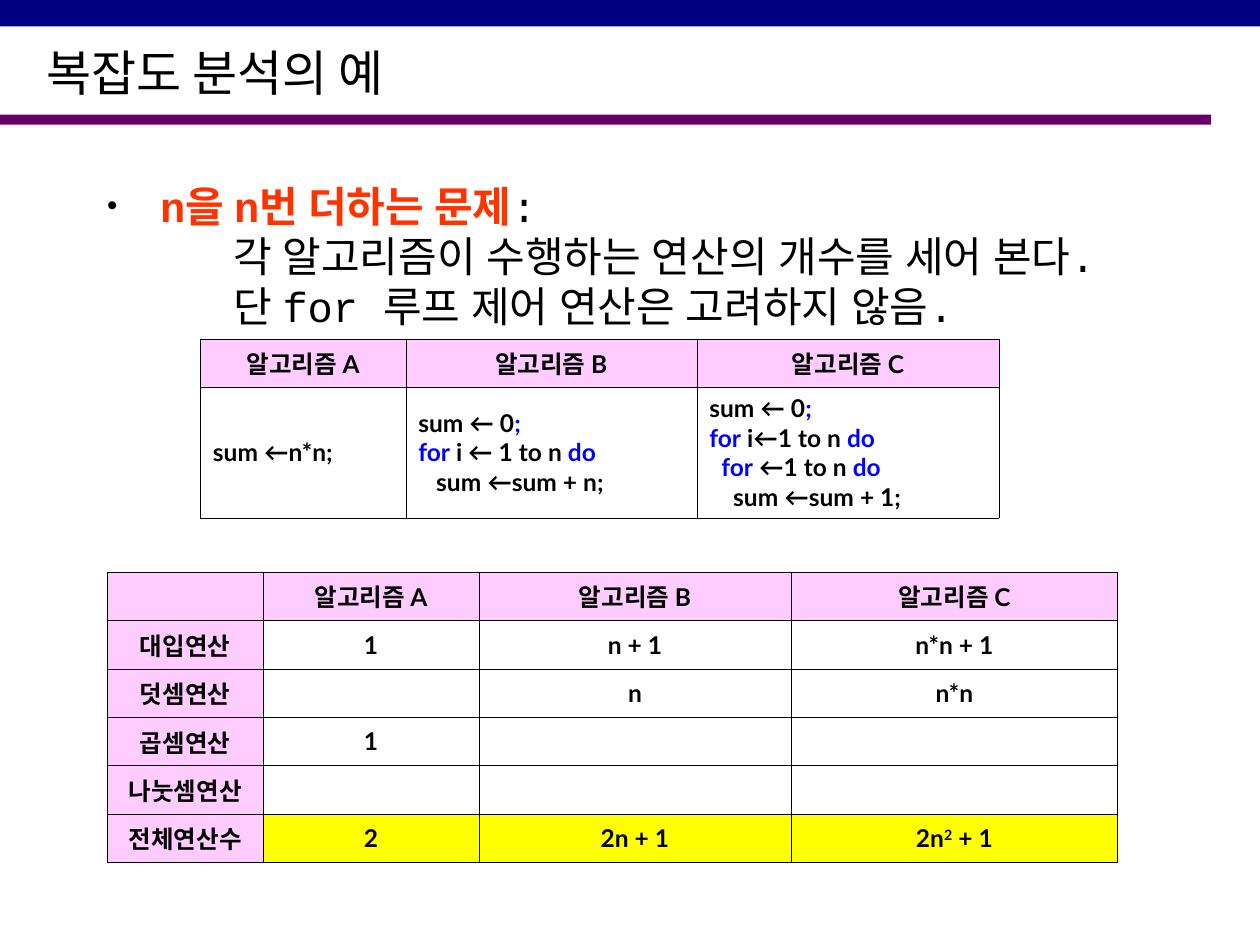
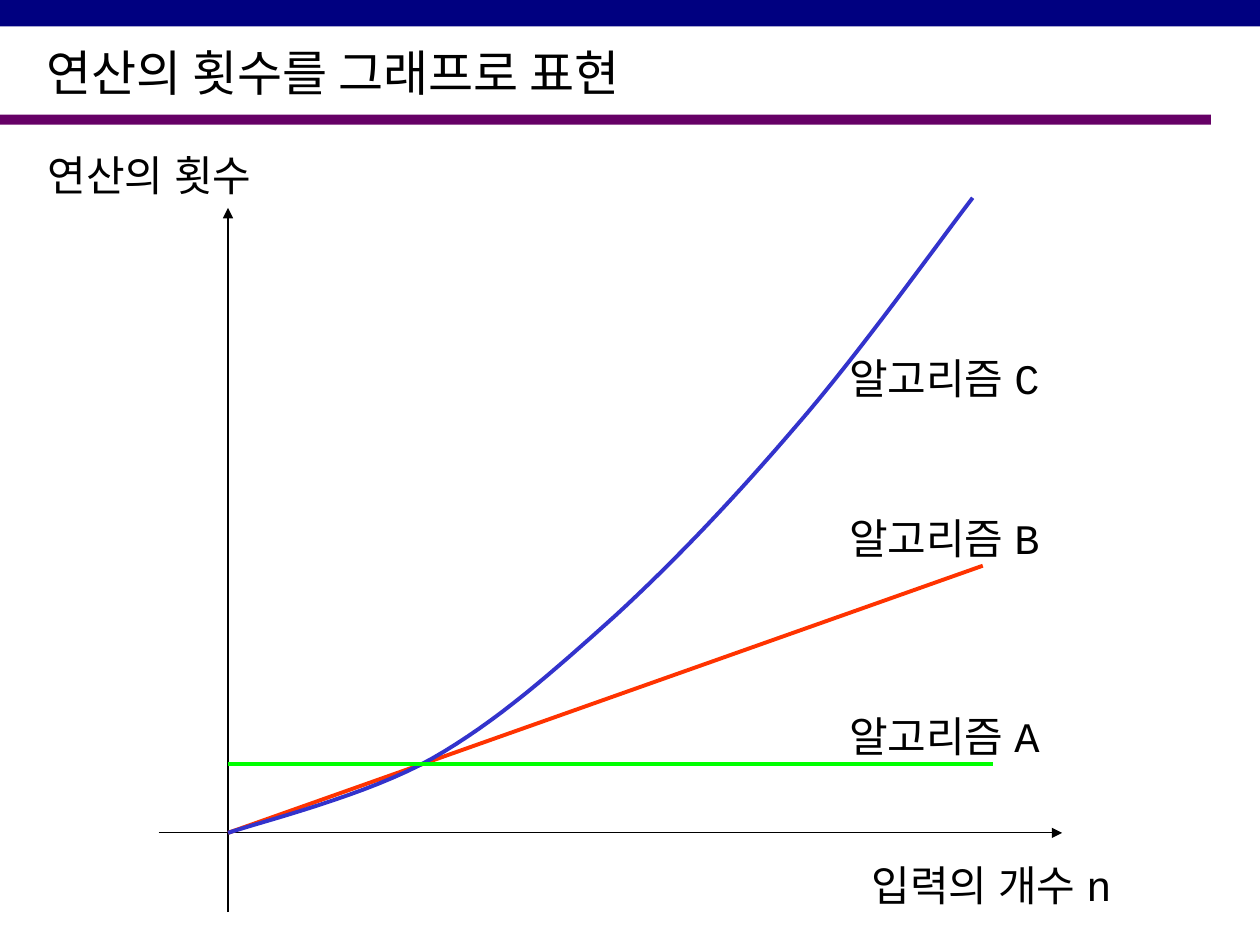
from pptx import Presentation
from pptx.dml.color import RGBColor
from pptx.enum.shapes import MSO_CONNECTOR as Connector, MSO_SHAPE as Shape
from pptx.enum.text import MSO_ANCHOR as Anchor, MSO_AUTO_SIZE as AutoSize, PP_ALIGN as Align
from pptx.oxml import parse_xml
from pptx.oxml.ns import nsdecls, qn
from pptx.util import Inches, Pt
from lxml.etree import SubElement

COLUMNS, ROWS = 10, 7.5
WIDTH, HEIGHT = Inches(COLUMNS), Inches(ROWS)
NAVY, PURPLE, PINK, YELLOW, WHITE = "000080", "660066", "FFCCFF", "FFFF00", "FFFFFF"
BLACK, RED, BLUE, CODE_BLUE, GREEN = "000000", "FF3300", "3333CC", "0000FF", "00FF00"
MONO, SANS, KOREAN = "Courier New", "Lato", "Noto Sans CJK KR"
ALGORITHMS = ["알고리즘 A", "알고리즘 B", "알고리즘 C"]
ORIGIN = (1.81, 6.61)


def col(count):
    """Length of a number of grid columns."""
    return round(WIDTH * count / COLUMNS)


def row(count):
    """Length of a number of grid rows."""
    return round(HEIGHT * count / ROWS)


def area(left, top, width, height):
    """Position and size of a block of the grid."""
    return col(left), row(top), col(width), row(height)


def place(shape, *block):
    """Move a shape to a block of the grid."""
    shape.left, shape.top, shape.width, shape.height = area(*block)


def rgb(color):
    """Colour from a hex string."""
    return RGBColor.from_string(color)


def add_span(para, text, size, latin, asian, color=BLACK, bold=False):
    """Add one formatted run."""
    span = para.add_run()
    span.text = text
    font = span.font
    font.size, font.name, font.bold = Pt(size), latin, bold
    font.color.rgb = rgb(color)
    face = parse_xml(f'<a:ea {nsdecls("a")} typeface="{asian}"/>')
    span.font._element.find(qn("a:latin")).addnext(face)
    return span


def add_bands(master, slide):
    """Move the two coloured bands into the master."""
    tree = master.element.cSld.spTree
    for color, block in ((NAVY, (0, 0, 10, 0.21)), (PURPLE, (0, 0.91, 9.61, 0.08))):
        band = slide.shapes.add_shape(Shape.RECTANGLE, *area(*block))
        band.shadow.inherit = False
        band.fill.solid()
        band.fill.fore_color.rgb = rgb(color)
        band.line.fill.background()
        tree.insert(2, band.element)


def set_title(slide, text):
    """Fill and format the title placeholder."""
    title = slide.shapes.title
    place(title, 0.27, 0.28, 8.98, 0.58)
    frame = title.text_frame
    frame.vertical_anchor, frame.auto_size = Anchor.MIDDLE, AutoSize.NONE
    para = frame.paragraphs[0]
    para.alignment = Align.LEFT
    add_span(para, text, 28, KOREAN, KOREAN)


def set_indent(para, margin, hanging=0, bullet=None):
    """Indent a paragraph, with or without a bullet."""
    props = para._p.get_or_add_pPr()
    props.set("marL", str(col(margin)))
    props.set("indent", str(-col(hanging)))
    if bullet:
        SubElement(SubElement(props, qn("a:buClr")), qn("a:srgbClr"), val=BLACK)
        SubElement(props, qn("a:buSzPct"), val="70000")
        SubElement(props, qn("a:buChar"), char=bullet)
    else:
        SubElement(props, qn("a:buNone"))
    para.space_before = Pt(0)


def set_body(slide, lead, ending, details):
    """Fill the body with a bulleted lead and its indented details."""
    body = slide.placeholders[1]
    place(body, 0.75, 1.38, 8.98, 1.3)
    frame = body.text_frame
    frame.word_wrap, frame.auto_size = True, AutoSize.NONE
    para = frame.paragraphs[0]
    set_indent(para, 0.42, 0.42, "•")
    add_span(para, lead, 24, MONO, SANS, RED, True)
    add_span(para, ending, 24, MONO, SANS)
    for detail in details:
        para = frame.add_paragraph()
        set_indent(para, 1)
        add_span(para, detail, 24, MONO, SANS)


def add_label(slide, text, *block):
    """Add a one-line text box that grows with its text."""
    box = slide.shapes.add_textbox(*area(*block))
    frame = box.text_frame
    frame.word_wrap, frame.auto_size = False, AutoSize.SHAPE_TO_FIT_TEXT
    add_span(frame.paragraphs[0], text, 24, MONO, SANS)


def fill_cell(cell, lines, align, fill):
    """Write the lines of a cell, each a list of (text, style) spans."""
    cell.fill.solid()
    cell.fill.fore_color.rgb = rgb(fill)
    cell.vertical_anchor = Anchor.MIDDLE
    frame = cell.text_frame
    for index, line in enumerate(lines):
        para = frame.add_paragraph() if index else frame.paragraphs[0]
        para.alignment = align
        for text, style in line:
            span = add_span(para, text, 14, SANS, KOREAN,
                            CODE_BLUE if style == "keyword" else BLACK, True)
            if style == "power":
                span.font._element.set("baseline", "30000")
        if not line:
            SubElement(para._p, qn("a:endParaRPr"), sz="1400")
    props = cell._tc.get_or_add_tcPr()
    for index, side in enumerate(("lnL", "lnR", "lnT", "lnB")):
        props.insert(index, parse_xml(
            f'<a:{side} {nsdecls("a")} w="762"><a:solidFill>'
            f'<a:srgbClr val="{BLACK}"/></a:solidFill></a:{side}>'))


def add_grid(slide, left, top, widths, heights):
    """Add an unstyled table with the given columns and rows."""
    block = area(left, top, sum(widths), sum(heights))
    table = slide.shapes.add_table(len(heights), len(widths), *block).table
    table.first_row = table.horz_banding = False
    for column, width in zip(table.columns, widths):
        column.width = col(width)
    for line, height in zip(table.rows, heights):
        line.height = row(height)
    return table


def plain(text):
    """Cell content of one unstyled span."""
    return [[(text, None)] if text else []]


def add_code_table(slide):
    """Show the code of the three algorithms side by side."""
    start = [("sum ← 0", None), (";", "keyword")]

    def loop(indent, middle):
        """One line that opens a loop."""
        spans = [("for", "keyword"), (middle, None), ("do", "keyword")]
        return [(indent, None)] + spans if indent else spans

    code = [
        plain("sum ←n*n;"),
        [start, loop("", " i ← 1 to n "), [("   sum ←sum + n;", None)]],
        [start, loop("", " i←1 to n "), loop("  ", " ←1 to n "),
         [("    sum ←sum + 1;", None)]],
    ]
    table = add_grid(slide, 1.59, 2.69, [1.63, 2.31, 2.4], [0.33, 1.03])
    for index, (name, lines) in enumerate(zip(ALGORITHMS, code)):
        fill_cell(table.cell(0, index), plain(name), Align.CENTER, PINK)
        fill_cell(table.cell(1, index), lines, Align.LEFT, WHITE)


def add_count_table(slide):
    """Show how many operations each algorithm needs."""
    counts = [
        ["", *ALGORITHMS],
        ["대입연산", "1", "n + 1", "n*n + 1"],
        ["덧셈연산", "", "n", "n*n"],
        ["곱셈연산", "1", "", ""],
        ["나눗셈연산", "", "", ""],
        ["전체연산수", "2", "2n + 1", [[("2n", None), ("2", "power"), (" + 1", None)]]],
    ]
    table = add_grid(slide, 0.85, 4.54, [1.24, 1.71, 2.48, 2.59], [0.34] * len(counts))
    for r, line in enumerate(counts):
        for c, content in enumerate(line):
            lines = plain(content) if isinstance(content, str) else content
            is_head, is_total = r == 0 or c == 0, r == len(counts) - 1
            fill = PINK if is_head else YELLOW if is_total else WHITE
            fill_cell(table.cell(r, c), lines, Align.CENTER, fill)


def add_line(slide, start, end, color, width, arrow=False):
    """Draw a straight line, with an arrowhead at its end if wanted."""
    line = slide.shapes.add_connector(
        Connector.STRAIGHT, col(start[0]), row(start[1]), col(end[0]), row(end[1]))
    line.line.color.rgb = rgb(color)
    line.line.width = Pt(width)
    if arrow:
        SubElement(line.line._get_or_add_ln(), qn("a:tailEnd"), type="triangle")
    SubElement(line.element.spPr, qn("a:effectLst"))


def bezier(points, share):
    """Point at a share of the way along a cubic curve."""
    rest = 1 - share
    weights = (rest ** 3, 3 * rest ** 2 * share, 3 * rest * share ** 2, share ** 3)
    return tuple(sum(w * p[axis] for w, p in zip(weights, points)) for axis in (0, 1))


def add_curve(slide, knots, color, steps=16):
    """Draw a smooth open curve through chained cubic segments."""
    points = [bezier(knots[first:first + 4], step / steps)
              for first in range(0, len(knots) - 1, 3) for step in range(1, steps + 1)]
    builder = slide.shapes.build_freeform(col(knots[0][0]), row(knots[0][1]))
    builder.add_line_segments([(col(x), row(y)) for x, y in points], close=False)
    curve = builder.convert_to_shape()
    curve.shadow.inherit = False
    curve.fill.background()
    curve.line.color.rgb = rgb(color)
    curve.line.width = Pt(2.25)


def add_growth_graph(slide):
    """Draw the axes, the three growth lines and their labels."""
    add_line(slide, (ORIGIN[0], 7.24), (ORIGIN[0], 1.65), BLACK, 0.75, True)
    add_line(slide, (1.26, ORIGIN[1]), (8.43, ORIGIN[1]), BLACK, 0.75, True)
    add_label(slide, "입력의 개수 n", 6.82, 6.77, 2.34, 0.5)
    add_label(slide, "연산의 횟수", 0.28, 1.14, 1.9, 0.5)
    add_line(slide, ORIGIN, (7.8, 4.49), RED, 2.25)
    add_curve(slide, [
        ORIGIN, (2.08, 6.52), (2.92, 6.31), (3.43, 6.02), (3.94, 5.73),
        (4.39, 5.33), (4.88, 4.89), (5.36, 4.45), (5.85, 3.93), (6.32, 3.38),
        (6.8, 2.83), (7.43, 1.95), (7.72, 1.57)], BLUE)
    add_line(slide, (ORIGIN[0], 6.06), (7.88, 6.06), GREEN, 2.25)
    for name, top in zip(ALGORITHMS, (5.59, 4.02, 2.75)):
        add_label(slide, name, 6.64, top, 1.87, 0.5)


def main():
    """Build the two slides and save them."""
    deck = Presentation()
    deck.slide_width, deck.slide_height = WIDTH, HEIGHT
    analysis = deck.slides.add_slide(deck.slide_layouts[1])
    add_bands(deck.slide_master, analysis)
    set_title(analysis, "복잡도 분석의 예")
    set_body(analysis, "n을 n번 더하는 문제", ":", [
        "각 알고리즘이 수행하는 연산의 개수를 세어 본다.",
        "단 for 루프 제어 연산은 고려하지 않음."])
    add_code_table(analysis)
    add_count_table(analysis)
    graph = deck.slides.add_slide(deck.slide_layouts[5])
    set_title(graph, "연산의 횟수를 그래프로 표현")
    add_growth_graph(graph)
    deck.save("out.pptx")


if __name__ == "__main__":
    main()
